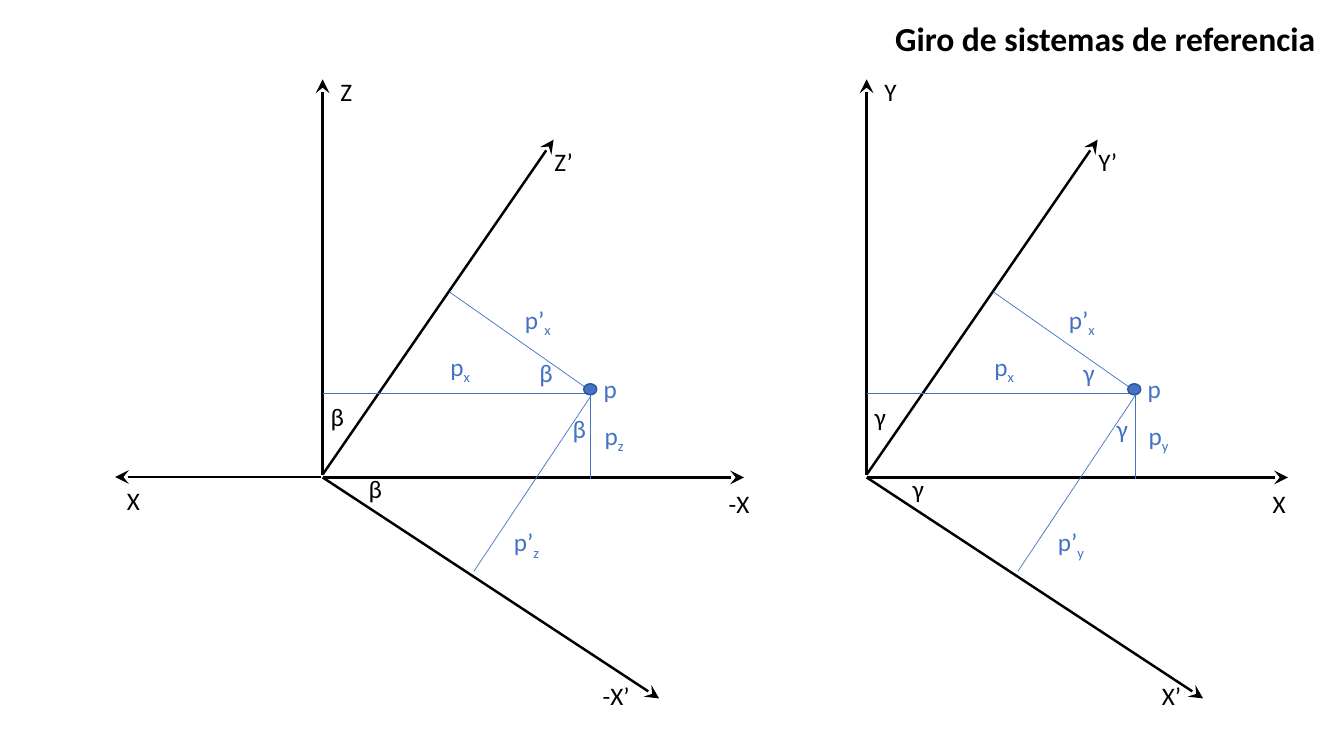
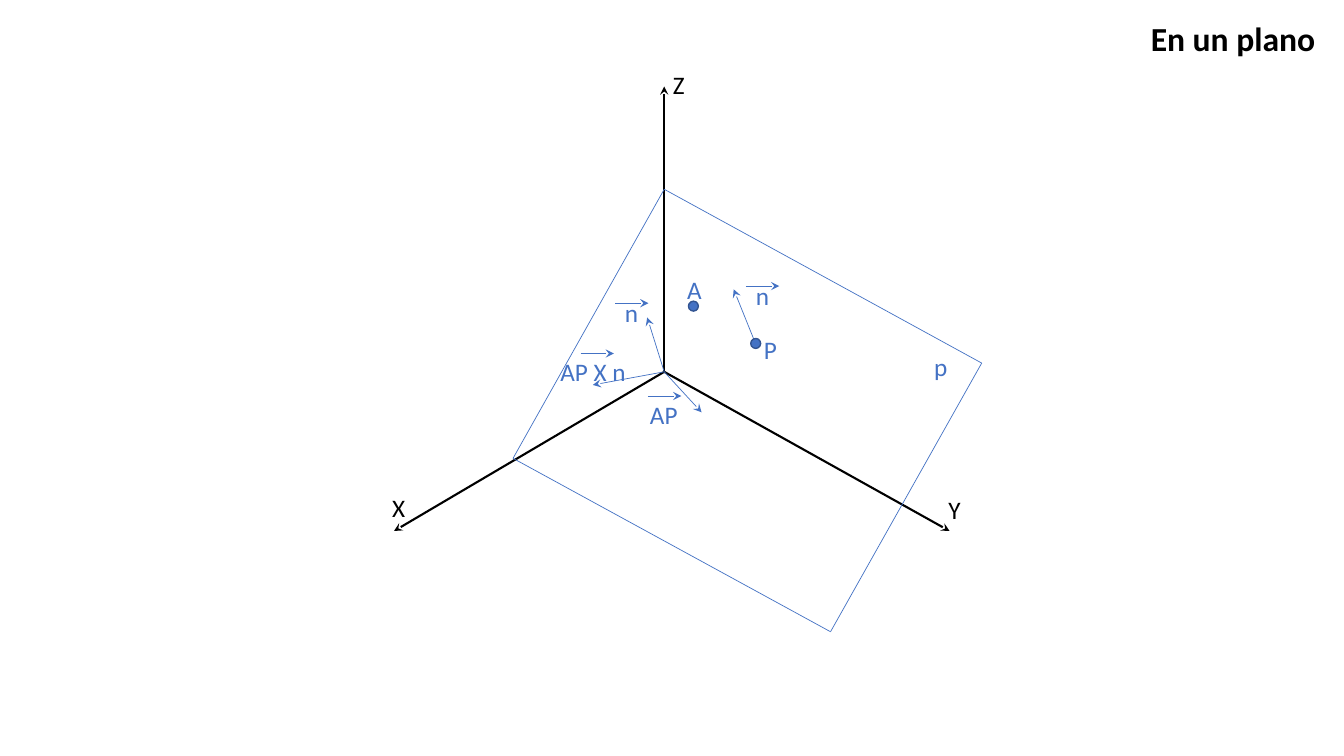
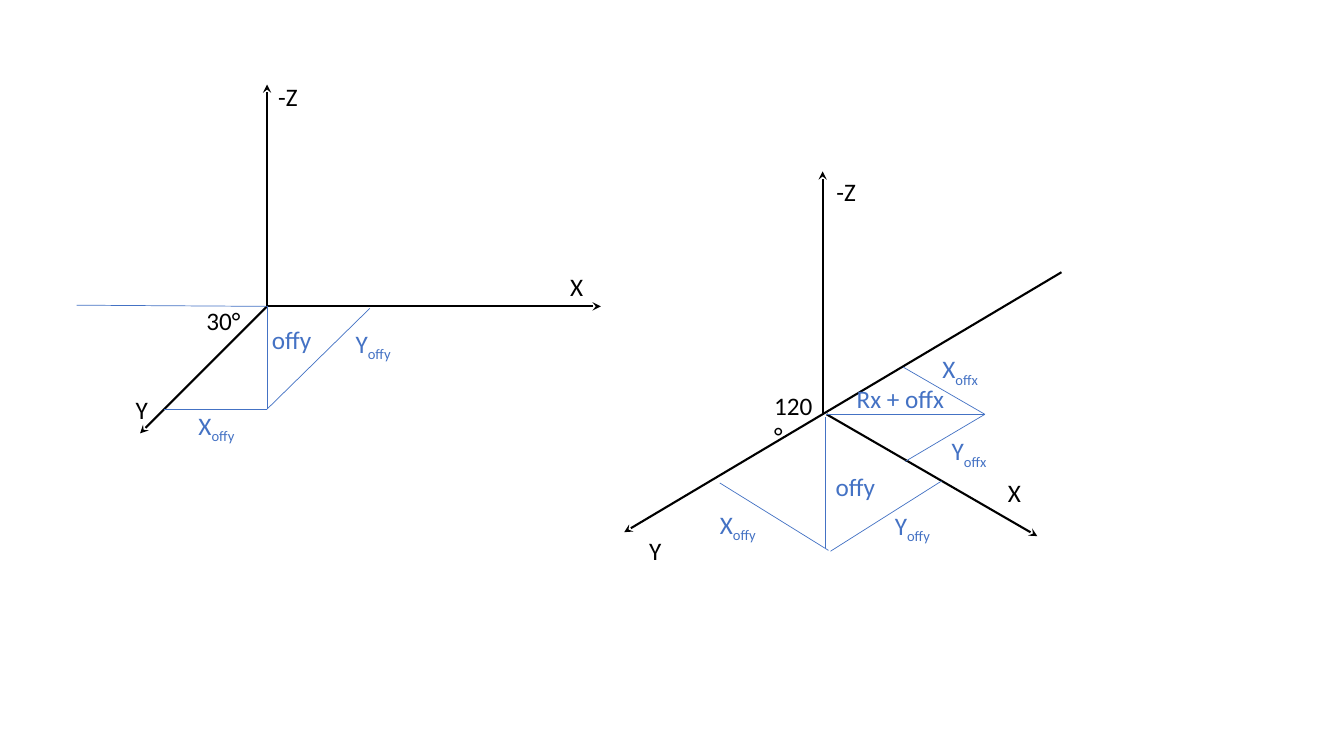
from dataclasses import dataclass

from lxml import etree
from pptx import Presentation
from pptx.dml.color import RGBColor
from pptx.enum import shapes, text
from pptx.oxml import ns
from pptx.util import Cm, Pt


@dataclass(frozen=True)
class Theme:
    font: str = "Calibri"
    ink: RGBColor = RGBColor(0x00, 0x00, 0x00)
    accent: RGBColor = RGBColor(0x44, 0x72, 0xC4)
    dot_edge: RGBColor = RGBColor(0x32, 0x54, 0x91)
    title_size: int = 24
    label_size: int = 18
    bold_axis: float = 1.75
    axis: float = 1.5
    thin: float = 0.5
    title_right: float = 33.4
    title_top: float = 0.33
    label_height: float = 1.02
    inset: float = 0.25
    slack: float = 0.04


THEME = Theme()

# Letter widths as parts of the type size
ADVANCE = {
    "X": 0.52, "Y": 0.49, "Z": 0.47, "A": 0.58, "P": 0.52, "R": 0.54,
    "p": 0.53, "n": 0.53, "o": 0.53, "f": 0.31, "x": 0.43, "y": 0.45,
    "z": 0.4, "’": 0.3, "-": 0.31, "+": 0.5, " ": 0.23, "°": 0.34,
    "β": 0.55, "γ": 0.47,
}
DIGIT_ADVANCE = 0.51
SUBSCRIPT_SCALE = 0.67


def label_width(base, subscript):
    """Width in centimetres that holds a label and its insets on one line."""
    def ems(letters):
        return sum(ADVANCE.get(letter, DIGIT_ADVANCE) for letter in letters)

    size = Pt(THEME.label_size).cm
    return (2 * THEME.inset + THEME.slack
            + size * (ems(base) + SUBSCRIPT_SCALE * ems(subscript)))


def add_text(slide, left, top, width, height, wording, subscript="",
             size=THEME.label_size, color=THEME.ink, wrap=False):
    box = slide.shapes.add_textbox(Cm(left), Cm(top), Cm(width), Cm(height))
    frame = box.text_frame
    frame.word_wrap = wrap
    frame.auto_size = text.MSO_AUTO_SIZE.SHAPE_TO_FIT_TEXT
    paragraph = frame.paragraphs[0]
    paragraph.add_run().text = wording
    if subscript:
        lowered = paragraph.add_run()
        lowered.text = subscript
        lowered._r.get_or_add_rPr().set("baseline", "-25000")
    paragraph.font.name = THEME.font
    paragraph.font.size = Pt(size)
    paragraph.font.color.rgb = color
    return paragraph


def add_title(slide, wording, width):
    paragraph = add_text(slide, THEME.title_right - width, THEME.title_top,
                         width, 1.27, wording, size=THEME.title_size)
    paragraph.alignment = text.PP_ALIGN.RIGHT
    paragraph.font.bold = True


class Diagram:
    """Draws on a slide in centimetres counted from one origin."""

    def __init__(self, slide, left, top):
        self.slide, self.left, self.top = slide, left, top

    def line(self, start, end, color=THEME.accent, weight=THEME.thin, head=None):
        """Draws a line; head is the arrowhead size, "med" or "lg"."""
        connector = self.slide.shapes.add_connector(
            shapes.MSO_CONNECTOR.STRAIGHT,
            Cm(self.left + start[0]), Cm(self.top + start[1]),
            Cm(self.left + end[0]), Cm(self.top + end[1]))
        connector.line.color.rgb = color
        connector.line.width = Pt(weight)
        if head:
            etree.SubElement(connector.line._get_or_add_ln(),
                             ns.qn("a:tailEnd"), type="stealth", w=head, len=head)
        etree.SubElement(connector._element.spPr, ns.qn("a:effectLst"))

    def axis(self, start, end):
        self.line(start, end, THEME.ink, THEME.axis, "med")

    def bold_axis(self, start, end):
        self.line(start, end, THEME.ink, THEME.bold_axis, "lg")

    def label(self, wording, left, top, color=THEME.ink, width=None):
        """Writes a label; what follows "_" is lowered, a given width wraps."""
        base, _, subscript = wording.partition("_")
        add_text(self.slide, self.left + left, self.top + top,
                 width or label_width(base, subscript), THEME.label_height,
                 base, subscript, color=color, wrap=width is not None)

    def labels(self, places, color=THEME.ink):
        for wording, left, top in places:
            self.label(wording, left, top, color)

    def lines(self, segments):
        for start, end in segments:
            self.line(start, end)

    def dot(self, left, top, width=0.25, height=0.25):
        point = self.slide.shapes.add_shape(
            shapes.MSO_SHAPE.OVAL, Cm(self.left + left), Cm(self.top + top),
            Cm(width), Cm(height))
        point.shadow.inherit = False
        point.fill.solid()
        point.fill.fore_color.rgb = THEME.accent
        point.line.color.rgb = THEME.dot_edge
        point.line.width = Pt(1)

    def vector_label(self, wording, left, top, arrow_shift):
        """Writes a label with a short arrow over one of its letters."""
        self.label(wording, left, top, THEME.accent)
        x, y = left + arrow_shift[0], top + arrow_shift[1]
        self.line((x, y), (x + 0.84, y), head="med")


def rotated_axes(slide, left, top, across, up, angle, turned_left):
    """Two axes, the same axes turned by an angle, and a point seen from both."""
    panel = Diagram(slide, left, top)
    above, base = (0, 9.96), (0, 10.03)
    for start, tip in ((above, (0, 0)), (base, (10.62, 10.03)),
                       (above, (5.82, 1.52)), (base, (8.48, 15.6))):
        panel.bold_axis(start, tip)
    panel.lines((
        ((6.76, 7.98), (3.81, 12.4)),
        ((3.2, 5.36), (6.68, 7.8)),
        ((0, 7.9), (6.86, 7.9)),
        ((6.76, 7.95), (6.76, 10.08)),
    ))
    panel.dot(6.58, 7.67, 0.33, 0.28)
    panel.labels((
        (up, 0.2, -0.2), (up + "’", 5.59, 1.57),
        (across, 9.98, 10.19), (across + "’", turned_left, 15.01),
        (angle, -0.05, 8), (angle, 0.91, 9.8),
    ))
    component = up.lower()
    panel.labels((
        ("p’_x", 4.85, 5.54), ("p_x", 2.97, 6.73),
        ("p’_" + component, 4.57, 11.15), ("p_" + component, 6.86, 8.46),
        ("p", 6.83, 7.29), (angle, 5.21, 6.88), (angle, 6.05, 8.28),
    ), THEME.accent)


def rotation_slide(slide):
    add_title(slide, "Giro de sistemas de referencia", 11.2)
    rotated_axes(slide, 8.13, 2, "-X", "Z", "β", 6.81)
    rotated_axes(slide, 21.84, 2, "X", "Y", "γ", 7.19)
    opposite = Diagram(slide, 8.08, 12.02)
    opposite.bold_axis((0, 0), (-5.18, 0))
    opposite.label("X", -5.13, 0.08)


def plane_in_space(slide, left, top):
    space = Diagram(slide, left, top)
    origin = (0, 0)
    for tip in ((0, -7.19), (-6.81, 4.01), (7.19, 4.01)):
        space.axis(origin, tip)
    corners = ((0, -4.6), (8, -0.22), (4.19, 6.55), (-3.81, 2.18))
    space.lines(zip(corners, corners[1:] + corners[:1]))
    for start, tip in ((origin, (0.94, 1.02)), (origin, (-1.8, 0.33)),
                       (origin, (-0.43, -1.37)), ((2.29, -0.74), (1.75, -2.08))):
        space.line(start, tip, head="med")
    space.dot(0.61, -1.78)
    space.dot(2.18, -0.84)
    space.labels((("Z", -0.03, -7.75), ("X", -7.11, 2.9), ("Y", 6.91, 2.97)))
    space.labels((("p", 6.55, -0.64), ("P", 2.26, -1.07), ("A", 0.33, -2.59)),
                 THEME.accent)
    space.vector_label("n", 2.06, -2.44, (0, 0.28))
    space.vector_label("n", -1.24, -2.01, (0, 0.28))
    space.vector_label("AP", -0.61, 0.58, (0.2, 0.03))
    space.vector_label("AP X n", -2.87, -0.51, (0.76, 0.05))


def plane_slide(slide):
    add_title(slide, "En un plano", 4.7)
    plane_in_space(slide, 16.74, 9.37)


def oblique_axes(slide, left, top):
    view = Diagram(slide, left, top)
    origin, corner = (0, 0), (0, 2.59)
    for tip in ((8.41, 0), (0, -5.59), (-3.2, 3.2)):
        view.axis(origin, tip)
    view.lines((
        (origin, corner), ((2.59, 0.05), corner),
        (corner, (-2.59, 2.59)), ((-4.8, -0.03), origin),
    ))
    view.labels((("Y", -3.56, 2.08), ("-Z", 0.03, -5.79),
                 ("X", 7.39, -1.02), ("30°", -1.78, -0.15)))
    view.labels((("offy", -0.13, 0.33), ("Y_offy", 1.98, 0.43),
                 ("X_offy", -1.98, 2.49)), THEME.accent)


def isometric_axes(slide, left, top):
    view = Diagram(slide, left, top)
    for start, tip in (((0, 0), (0, -6.12)), ((6.02, -3.58), (-5, 2.97)),
                       ((0.1, 0), (5.41, 3.07))):
        view.axis(start, tip)
    corner = (4.09, 0)
    view.lines((
        ((0.08, 0), corner), (corner, (2.08, 1.19)), ((2.03, -1.19), corner),
        ((0.08, 0.08), (0.08, 3.38)), ((0.2, 3.45), (3, 1.68)),
        ((0.15, 3.43), (-2.59, 1.73)),
    ))
    view.labels((("-Z", 0.1, -6.12), ("Y", -4.62, 2.92), ("X", 4.42, 1.47)))
    view.label("120°", -1.47, -0.74, width=1.5)
    view.labels((
        ("Rx + offx", 0.61, -0.91), ("Y_offx", 3, 0.41), ("X_offx", 2.77, -1.65),
        ("offy", 0.08, 1.3), ("X_offy", -2.84, 2.26), ("Y_offy", 1.57, 2.29),
    ), THEME.accent)


def projection_slide(slide):
    oblique_axes(slide, 6.73, 7.72)
    isometric_axes(slide, 20.73, 10.44)


def main():
    deck = Presentation()
    deck.slide_width, deck.slide_height = Cm(33.87), Cm(19.05)
    blank = deck.slide_layouts[6]
    for build in (rotation_slide, plane_slide, projection_slide):
        build(deck.slides.add_slide(blank))
    deck.save("out.pptx")


if __name__ == "__main__":
    main()
